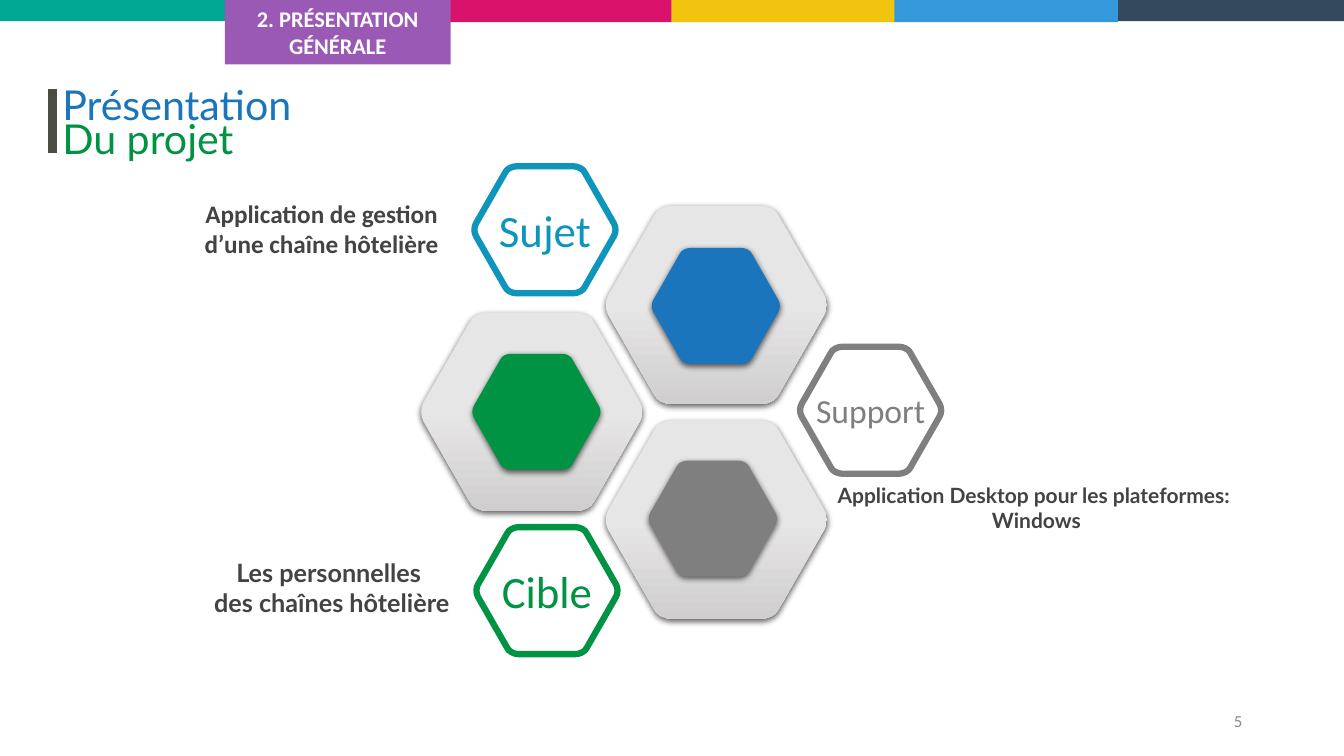
import copy
import pptx
import pptx.dml.color
import pptx.enum.shapes
import pptx.enum.text
import pptx.oxml
import pptx.oxml.ns
import pptx.util

Inches = pptx.util.Inches
Pt = pptx.util.Pt
ALIGN = pptx.enum.text.PP_ALIGN
ANCHOR = pptx.enum.text.MSO_ANCHOR
qn = pptx.oxml.ns.qn

SLIDE_WIDTH, SLIDE_HEIGHT = 13.33, 7.5
BARS = [
    (4.45, 2.22, 0.22, "D9126B"),
    (6.66, 2.22, 0.22, "F1C40F"),
    (8.87, 2.22, 0.22, "3498DB"),
    (11.09, 2.25, 0.21, "34495E"),
    (-0.01, 2.24, 0.21, "00A891"),
    (2.23, 2.24, 0.64, "9B59B6"),
]
SECTION = "2. PRÉSENTATION GÉNÉRALE"
TITLE = [("Présentation", "1B75BC"), ("Du projet", "009344")]

PLATE_SIZE, CORE_SIZE, BADGE_SIZE = (2.21, 1.97), (1.28, 1.15), (1.41, 1.26)
PLATES = [(6, 2.04), (4.17, 3.1), (6, 4.17)]
PLATE_STOPS = [(0, "E7E6E6"), (0.5, "E7E6E6"), (1, "D0CECE")]
CORES = [(6.43, 4.57, "7F7F7F"), (6.46, 2.46, "1B75BC"), (4.68, 3.51, "009344")]
BADGES = [
    ("Support", 7.93, 3.44, 24, "7F7F7F"),
    ("Cible", 4.72, 5.23, 32, "009344"),
    ("Sujet", 4.7, 1.65, 32, "0D95BC"),
]
LABELS = [
    (["Application de gestion", "d’une chaîne hôtelière"], (0.13, 1.92, 6.12, 0.71), 18, "Calibri"),
    (["Les personnelles ", "des chaînes hôtelière"], (0.23, 5.48, 6.12, 1.31), 18, "Lato"),
    (["Application Desktop pour les plateformes: ", "Windows"], (7.73, 4.74, 5.1, 1.04), 15, "Lato"),
]

TOP_CORNER = [(0.7, 0), (0.73, 0), (0.77, 0.02), (0.78, 0.05)]
SIDE_CORNER = [(0.985, 0.45), (1, 0.48), (1, 0.52), (0.985, 0.55)]
NAMESPACE = 'xmlns:a="http://schemas.openxmlformats.org/drawingml/2006/main"'
SHADOW = (
    f'<a:outerShdw {NAMESPACE} blurRad="57150" dist="19050" dir="5400000" algn="ctr" rotWithShape="0">'
    '<a:srgbClr val="000000"><a:alpha val="62000"/></a:srgbClr></a:outerShdw>'
)


def colour(value):
    return pptx.dml.color.RGBColor.from_string(value)


def hexagon_corners():
    bottom_corner = [(x, 1 - y) for x, y in reversed(TOP_CORNER)]
    right = [TOP_CORNER, SIDE_CORNER, bottom_corner]
    return right + [[(1 - x, 1 - y) for x, y in corner] for corner in right]


def write(shape, lines, align=ALIGN.CENTER, anchor=ANCHOR.TOP, inset=(0.1, 0.05), spacing=None, **font):
    frame = shape.text_frame
    frame_format = {
        "word_wrap": True, "vertical_anchor": anchor,
        "margin_left": Inches(inset[0]), "margin_right": Inches(inset[0]),
        "margin_top": Inches(inset[1]), "margin_bottom": Inches(inset[1]),
    }
    for name, value in frame_format.items():
        setattr(frame, name, value)
    for index, (text, text_colour) in enumerate(lines):
        paragraph = frame.add_paragraph() if index else frame.paragraphs[0]
        paragraph.alignment = align
        if spacing:
            paragraph.line_spacing = spacing
        run = paragraph.add_run()
        run.text = text
        for name, value in font.items():
            setattr(run.font, name, value)
        run.font.color.rgb = colour(text_colour)


def add_text(slide, box, lines, **options):
    write(slide.shapes.add_textbox(*map(Inches, box)), lines, **options)


def paint(shape, fill=None, line=None):
    if fill:
        shape.fill.solid()
        shape.fill.fore_color.rgb = colour(fill)
    if line:
        shape.line.color.rgb = colour(line)
        shape.line.width = Pt(4.5)
    else:
        shape.line.fill.background()
    shape.shadow.inherit = False


def add_hexagon(slide, left, top, size):
    x, y, width, height = map(Inches, (left, top, *size))
    builder = slide.shapes.build_freeform(x, y, scale=1.0)
    builder.add_line_segments([(x + width, y), (x + width, y + height), (x, y + height)], close=True)
    shape = builder.convert_to_shape()

    def points(fractions):
        return "".join(f'<a:pt x="{round(u * width)}" y="{round(v * height)}"/>' for u, v in fractions)

    corners = hexagon_corners()
    segments = "<a:moveTo>" + points(corners[-1][-1:]) + "</a:moveTo>"
    for corner in corners:
        segments += "<a:lnTo>" + points(corner[:1]) + "</a:lnTo>"
        segments += "<a:cubicBezTo>" + points(corner[1:]) + "</a:cubicBezTo>"
    outline = pptx.oxml.parse_xml(
        f'<a:path {NAMESPACE} w="{width}" h="{height}">{segments}<a:close/></a:path>')
    path_list = shape._element.spPr.find(".//" + qn("a:pathLst"))
    path_list.replace(path_list[0], outline)
    return shape


def add_shadow(shape):
    shape._element.spPr.find(qn("a:effectLst")).append(pptx.oxml.parse_xml(SHADOW))


def add_gradient(shape):
    shape.fill.gradient()
    shape.fill.gradient_angle = 270
    stop_list = shape._element.spPr.find(".//" + qn("a:gsLst"))
    stop_list.append(copy.deepcopy(stop_list[-1]))
    for stop, (position, value) in zip(shape.fill.gradient_stops, PLATE_STOPS):
        stop.position = position
        stop.color.rgb = colour(value)


def add_header(slide):
    for left, width, height, value in BARS:
        bar = slide.shapes.add_shape(
            pptx.enum.shapes.MSO_SHAPE.RECTANGLE, Inches(left), 0, Inches(width), Inches(height))
        paint(bar, value)
    write(bar, [(SECTION, "FFFFFF")], anchor=ANCHOR.MIDDLE, size=Pt(16), name="Calibri", bold=True)
    add_text(slide, (0.52, 0.87, 11.5, 0.81), TITLE, align=ALIGN.LEFT, spacing=0.7, size=Pt(29.4), name="Lato")
    rule = slide.shapes.add_connector(
        pptx.enum.shapes.MSO_CONNECTOR.STRAIGHT, *map(Inches, (0.52, 0.88, 0.52, 1.52)))
    rule.line.color.rgb = colour("4A4D44")
    rule.line.width = Pt(6)
    rule._element.spPr.append(pptx.oxml.parse_xml(f"<a:effectLst {NAMESPACE}/>"))


def add_hexagons(slide):
    for left, top in PLATES:
        plate = add_hexagon(slide, left, top, PLATE_SIZE)
        add_gradient(plate)
        paint(plate)
        add_shadow(plate)
    for left, top, value in CORES:
        core = add_hexagon(slide, left, top, CORE_SIZE)
        paint(core, value)
        add_shadow(core)
    for text, left, top, size, value in BADGES:
        badge = add_hexagon(slide, left, top, BADGE_SIZE)
        paint(badge, "FFFFFF", value)
        write(badge, [(text, value)], anchor=ANCHOR.MIDDLE, inset=(0.07, 0.04), size=Pt(size), name="Calibri")


def main():
    presentation = pptx.Presentation()
    presentation.slide_width = Inches(SLIDE_WIDTH)
    presentation.slide_height = Inches(SLIDE_HEIGHT)
    slide = presentation.slides.add_slide(presentation.slide_layouts[6])
    add_header(slide)
    add_hexagons(slide)
    for lines, box, size, font_name in LABELS:
        add_text(slide, box, [(line, "434343") for line in lines], size=Pt(size), name=font_name, bold=True)
    add_text(slide, (9.42, 6.95, 3, 0.4), [("5", "888888")], align=ALIGN.RIGHT,
             anchor=ANCHOR.MIDDLE, size=Pt(12), name="Calibri")
    presentation.save("out.pptx")


if __name__ == "__main__":
    main()
